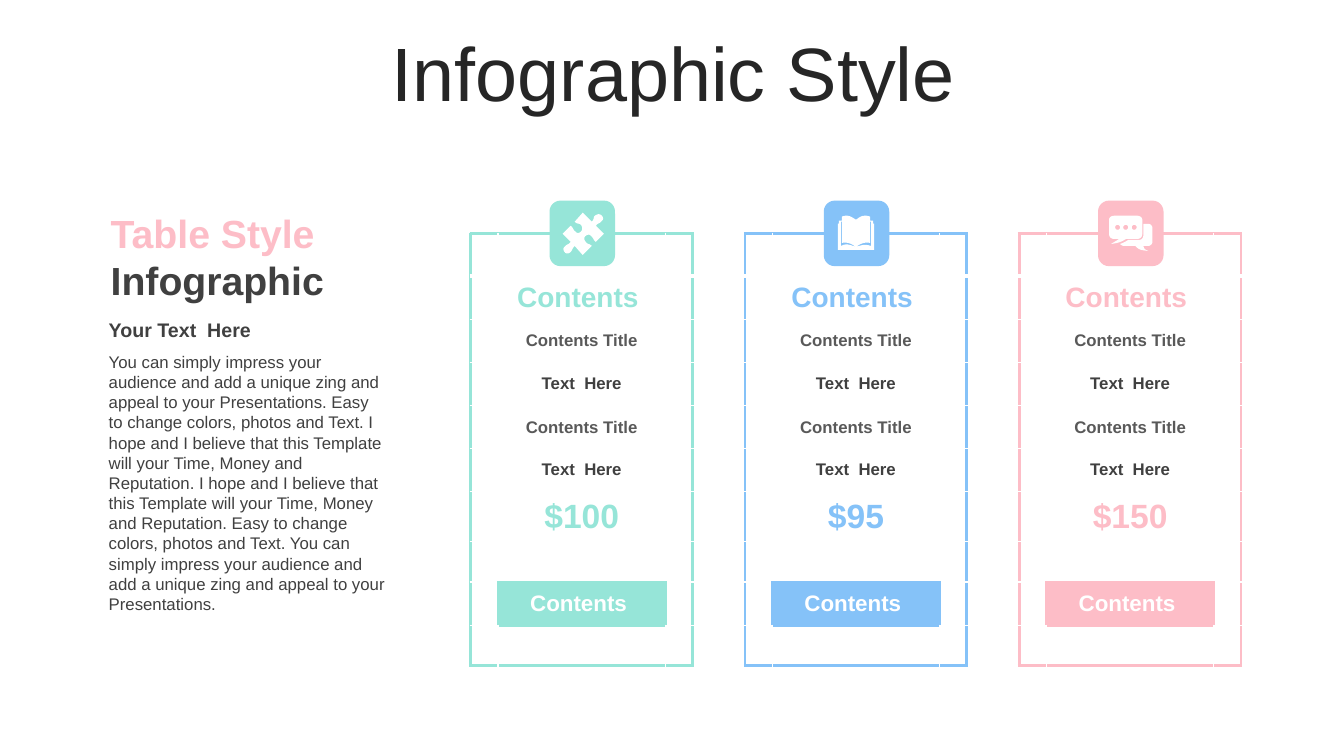
import math

import pptx
import pptx.dml.color
import pptx.enum.shapes
import pptx.enum.text
import pptx.oxml
import pptx.oxml.ns
import pptx.util

RGB = pptx.dml.color.RGBColor
ALIGN = pptx.enum.text.PP_ALIGN
MIDDLE = pptx.enum.text.MSO_ANCHOR.MIDDLE

MINT = RGB(0x96, 0xE5, 0xD8)
BLUE = RGB(0x85, 0xC2, 0xF8)
PINK = RGB(0xFD, 0xBD, 0xC7)
WHITE = RGB(0xFF, 0xFF, 0xFF)
INK = RGB(0x26, 0x26, 0x26)
DARK = RGB(0x40, 0x40, 0x40)
GRAY = RGB(0x59, 0x59, 0x59)

EMU_PER_PX = 9144
CURVE_STEPS = 6
COLUMN_WIDTHS = (27, 166, 27)
ROW_HEIGHTS = (42, 43, 42, 43, 43, 42, 50, 40, 43, 40)
BUTTON = (8, 1)
SIDES = (("lnL", 0, -1), ("lnR", 0, 1), ("lnT", -1, 0), ("lnB", 1, 0))

INTRO = (
    "You can simply impress your audience and add a unique zing and appeal to your "
    "Presentations. Easy to change colors, photos and Text. I hope and I believe that "
    "this Template will your Time, Money and Reputation. I hope and I believe that this "
    "Template will your Time, Money and Reputation. Easy to change colors, photos and "
    "Text. You can simply impress your audience and add a unique zing and appeal to "
    "your Presentations."
)


def dot(center_x, center_y=225.5, radius=2.5, corners=12):
    angles = [2 * math.pi * i / corners for i in range(corners)]
    return [(center_x + radius * math.cos(a), center_y + radius * math.sin(a)) for a in angles]


PUZZLE = [[
    (597, 214), (598, 215, 599, 218, 597, 219), (595, 222, 593, 221, 591, 224),
    (599, 232), (591, 240), (588, 238, 589, 236, 586, 234),
    (585, 232, 582, 233, 581, 234), (579, 235, 579, 238, 581, 240),
    (583, 243, 584, 241, 587, 244), (578, 253), (570, 244),
    (567, 247, 568, 248, 566, 250), (564, 252, 561, 252, 560, 250),
    (559, 249, 558, 246, 560, 245), (562, 242, 564, 243, 566, 240),
    (558, 232), (566, 224), (569, 226, 568, 228, 571, 230),
    (572, 232, 575, 231, 576, 230), (578, 228, 578, 225, 576, 223),
    (574, 221, 573, 223, 570, 220), (578, 211), (587, 220),
    (590, 217, 588, 216, 590, 214), (593, 212, 595, 212, 597, 214),
]]
BOOK = [[
    (849, 245), (855, 243, 858, 242, 864, 244), (864, 220), (863, 220),
    (863, 227, 863, 234, 863, 241), (859, 240, 854, 241, 849, 245), (849, 218),
    (852, 216, 854, 214, 858, 214), (859, 214, 861, 214, 863, 215),
    (863, 216, 863, 217, 863, 219), (866, 219), (866, 222), (867, 222), (867, 248),
    (831, 248), (831, 222), (832, 222), (832, 219), (835, 219),
    (835, 217, 835, 216, 835, 215), (837, 214, 839, 214, 840, 214),
    (843, 214, 846, 216, 849, 218), (849, 245), (844, 241, 839, 240, 835, 241),
    (835, 220), (834, 220), (834, 244), (840, 241, 843, 243, 849, 245),
]]
CHAT = [
    dot(1125), dot(1116.5), dot(1108.5),
    [
        (1134, 222), (1139, 222), (1141, 222, 1143, 224, 1143, 226), (1143, 240),
        (1143, 242, 1141, 244, 1139, 244), (1134, 244), (1135, 246, 1134, 247, 1139, 249),
        (1131, 248, 1130, 248, 1126, 244), (1115, 244), (1113, 244, 1112, 243, 1111, 242),
        (1114, 241, 1116, 240, 1119, 238), (1130, 238), (1132, 238, 1134, 236, 1134, 234),
    ],
    [
        (1105, 214), (1128, 214), (1131, 214, 1133, 216, 1133, 218), (1133, 232),
        (1133, 235, 1131, 237, 1128, 237), (1117, 237), (1112, 240, 1110, 241, 1102, 242),
        (1107, 239, 1107, 239, 1110, 237), (1105, 237), (1102, 237, 1100, 235, 1100, 232),
        (1100, 218), (1100, 216, 1102, 214, 1105, 214),
    ],
]


def px(length):
    return pptx.util.Emu(round(length * EMU_PER_PX))


def flatten(contour):
    points = [contour[0]]
    for segment in contour[1:]:
        if len(segment) == 2:
            points.append(segment)
            continue
        anchors = (points[-1], segment[:2], segment[2:4], segment[4:])
        for step in range(1, CURVE_STEPS + 1):
            t = step / CURVE_STEPS
            weights = ((1 - t) ** 3, 3 * t * (1 - t) ** 2, 3 * t * t * (1 - t), t ** 3)
            points.append(tuple(sum(w * a[axis] for w, a in zip(weights, anchors)) for axis in (0, 1)))
    return [(px(x), px(y)) for x, y in points]


class InfographicSlide:
    font = "Arial"

    def __init__(self, deck):
        self.slide = deck.slides.add_slide(deck.slide_layouts[5])

    def add_words(self, paragraph, text, size, color, bold=False, align=ALIGN.LEFT):
        paragraph.alignment = align
        run = paragraph.add_run()
        run.text = text
        run.font.name = self.font
        run.font.size = pptx.util.Pt(size)
        run.font.bold = bold
        run.font.color.rgb = color

    def title(self, box, text):
        heading = self.slide.shapes.title
        heading.left, heading.top, heading.width, heading.height = map(px, box)
        heading.text_frame.vertical_anchor = MIDDLE
        paragraph = heading.text_frame.paragraphs[0]
        paragraph.line_spacing = 0.9
        self.add_words(paragraph, text, 54, INK, align=ALIGN.CENTER)

    def text(self, box, lines):
        frame = self.slide.shapes.add_textbox(*map(px, box)).text_frame
        frame.word_wrap = True
        for index, line in enumerate(lines):
            paragraph = frame.add_paragraph() if index else frame.paragraphs[0]
            self.add_words(paragraph, *line)

    def border(self, cell, position, tag, points, color):
        line = pptx.oxml.parse_xml(
            f'<a:{tag} {pptx.oxml.ns.nsdecls("a")} w="{pptx.util.Pt(points)}">'
            f'<a:solidFill><a:srgbClr val="{color}"/></a:solidFill></a:{tag}>'
        )
        cell._tc.get_or_add_tcPr().insert(position, line)

    def price_table(self, left, top, color, price):
        rows, columns = len(ROW_HEIGHTS), len(COLUMN_WIDTHS)
        box = (left, top, sum(COLUMN_WIDTHS), sum(ROW_HEIGHTS))
        table = self.slide.shapes.add_table(rows, columns, *map(px, box)).table
        table.first_row = table.horz_banding = False
        for column, width in zip(table.columns, COLUMN_WIDTHS):
            column.width = px(width)
        for row, height in zip(table.rows, ROW_HEIGHTS):
            row.height = px(height)
        for r in range(rows):
            for c in range(columns):
                cell = table.cell(r, c)
                cell.fill.solid()
                cell.fill.fore_color.rgb = color if (r, c) == BUTTON else WHITE
                for position, (tag, down, across) in enumerate(SIDES):
                    beyond = (r + down, c + across)
                    outside = beyond[0] not in range(rows) or beyond[1] not in range(columns)
                    if outside or BUTTON in ((r, c), beyond):
                        self.border(cell, position, tag, 2.25, color)
                    else:
                        self.border(cell, position, tag, 3 if r == 0 and tag == "lnB" else 1, WHITE)
        entries = {
            1: ("Contents ", 20, color),
            2: ("Contents Title", 12, GRAY),
            3: ("Text  Here", 12, DARK),
            4: ("Contents Title", 12, GRAY),
            5: ("Text  Here", 12, DARK),
            6: (price, 24, color),
            8: ("Contents ", 16, WHITE),
        }
        for r, entry in entries.items():
            cell = table.cell(r, 1)
            cell.vertical_anchor = MIDDLE
            self.add_words(cell.text_frame.paragraphs[0], *entry, bold=True, align=ALIGN.CENTER)

    def paint(self, shape, color):
        shape.shadow.inherit = False
        shape.fill.solid()
        shape.fill.fore_color.rgb = color
        shape.line.fill.background()

    def badge(self, box, color):
        rounded = pptx.enum.shapes.MSO_SHAPE.ROUNDED_RECTANGLE
        self.paint(self.slide.shapes.add_shape(rounded, *map(px, box)), color)

    def icon(self, contours):
        outlines = [flatten(contour) for contour in contours]
        builder = self.slide.shapes.build_freeform(*outlines[0][0])
        for index, points in enumerate(outlines):
            if index:
                builder.move_to(*points[0])
            builder.add_line_segments(points[1:], close=True)
        self.paint(builder.convert_to_shape(), WHITE)


def main():
    deck = pptx.Presentation()
    deck.slide_width, deck.slide_height = px(1333), px(750)
    page = InfographicSlide(deck)
    page.title((35, 37, 1266, 79), "Infographic Style")
    page.text((98, 311, 296, 34), [("Your Text  Here", 14, DARK, True)])
    page.text((98, 344, 296, 273), [(INTRO, 12, DARK)])
    page.text((100, 203, 296, 104), [("Table Style", 28, PINK, True), ("Infographic", 28, DARK, True)])
    plans = ((MINT, "$100", PUZZLE), (BLUE, "$95", BOOK), (PINK, "$150", CHAT))
    for index, (color, price, symbol) in enumerate(plans):
        left = 467 + 272 * index
        page.price_table(left, 232, color, price)
        page.badge((left + 78, 199, 65, 65), color)
        page.icon(symbol)
    deck.save("out.pptx")


if __name__ == "__main__":
    main()
